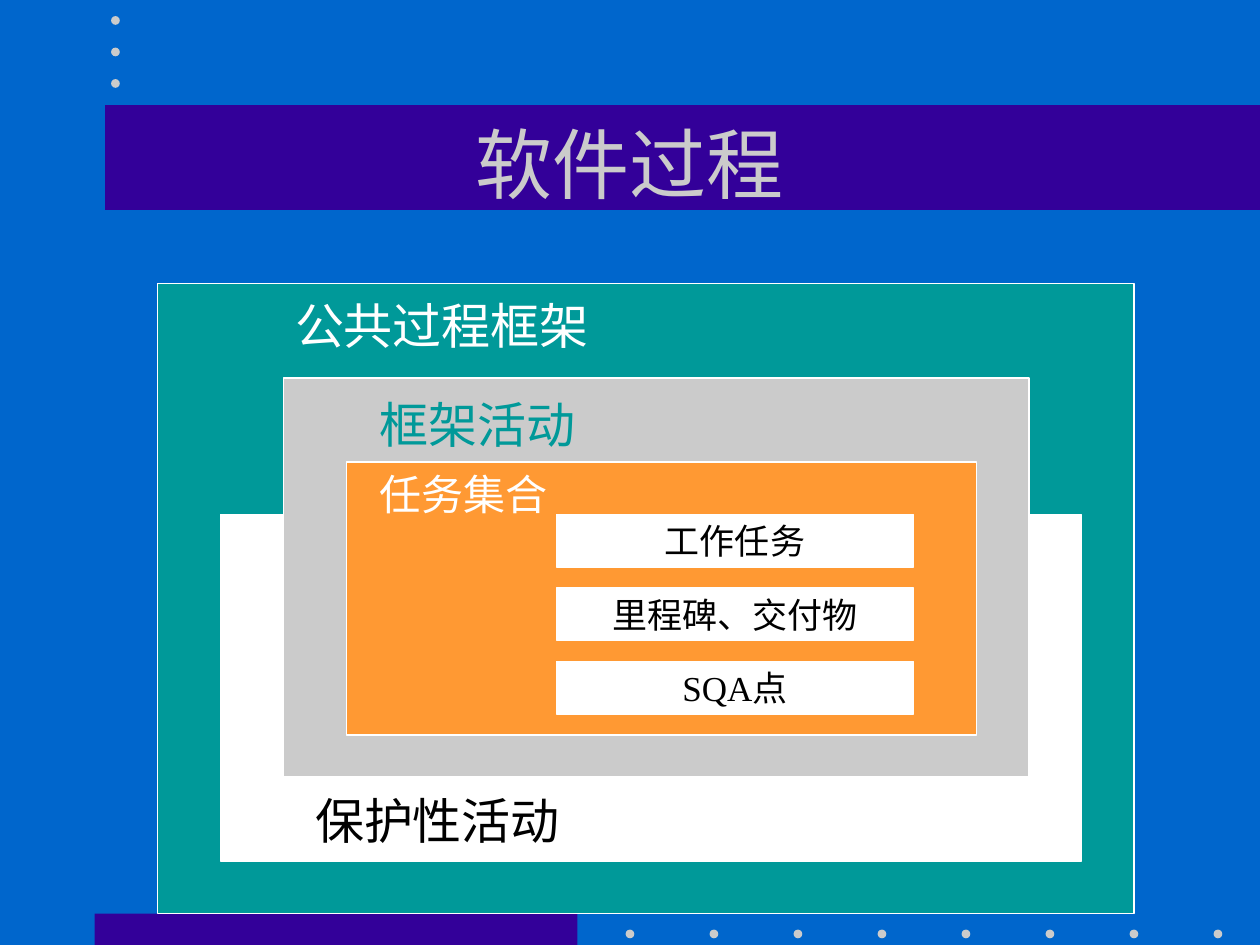
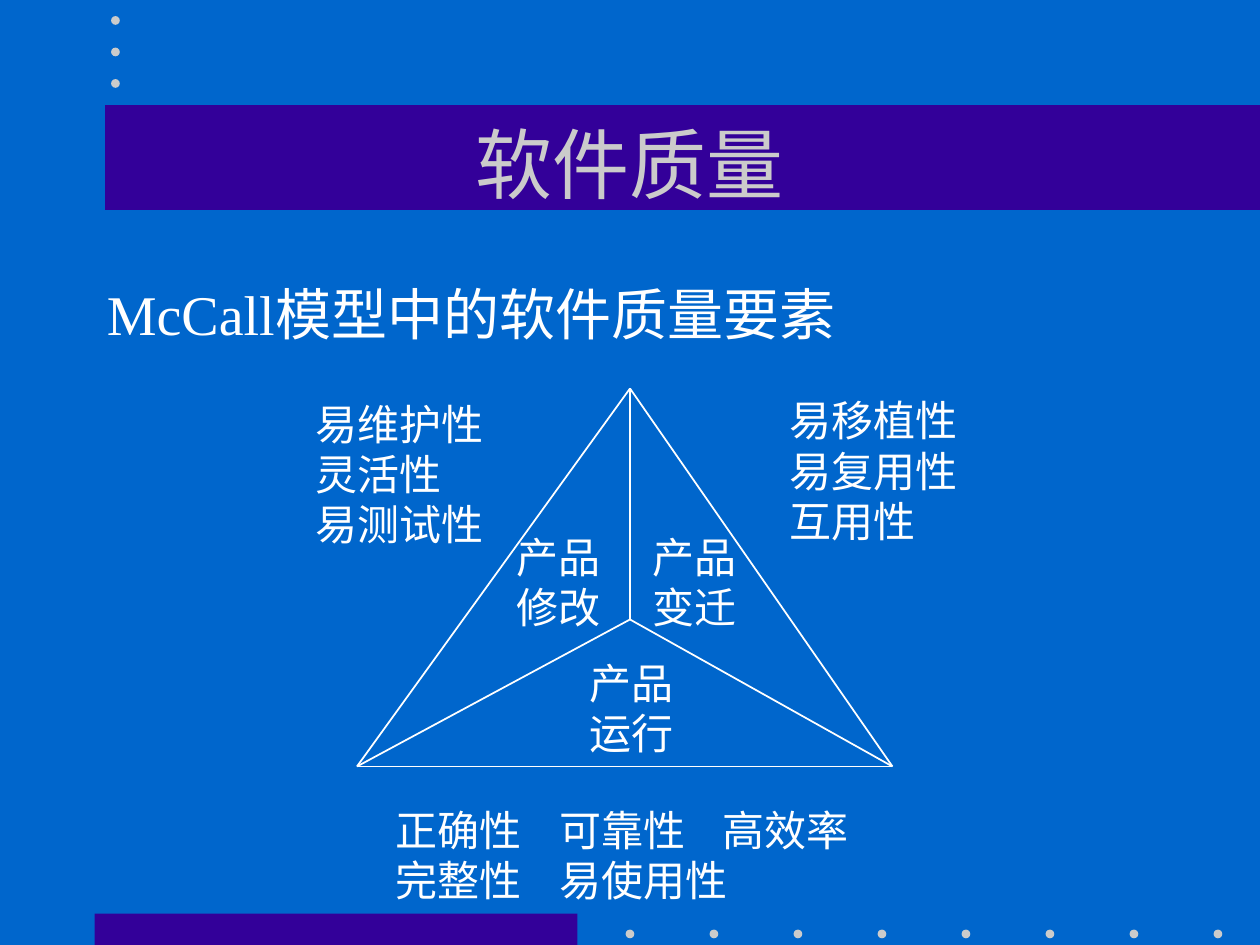
from itertools import combinations

from lxml import etree
from pptx import Presentation
from pptx.dml.color import RGBColor
from pptx.enum.shapes import MSO_CONNECTOR, MSO_SHAPE
from pptx.enum.text import MSO_ANCHOR, MSO_AUTO_SIZE, PP_ALIGN
from pptx.oxml.ns import qn
from pptx.util import Pt

RECTANGLE, DOT = MSO_SHAPE.RECTANGLE, MSO_SHAPE.OVAL
STRAIGHT = MSO_CONNECTOR.STRAIGHT
TOP, MIDDLE = MSO_ANCHOR.TOP, MSO_ANCHOR.MIDDLE
LEFT, CENTER = PP_ALIGN.LEFT, PP_ALIGN.CENTER
NO_FIT = MSO_AUTO_SIZE.NONE

# Shared look
FONT = "Times New Roman"
BLUE, VIOLET, GRAY = "0066CC", "330099", "CBCBCB"
TEAL, ORANGE, WHITE, BLACK = "009999", "FF9933", "FFFFFF", "000000"
TITLE_PLACE = (54, 48, 612, 90)
DOT_SIZE = 5


def color(hex_text):
    return RGBColor.from_string(hex_text)


def apply_format(target, values):
    for name, value in values.items():
        setattr(target, name, value)


def write(shape, lines, size, text_color, align=LEFT, anchor=TOP, tabs=()):
    """Fill a shape with one paragraph per line."""
    frame = shape.text_frame
    apply_format(frame, {"word_wrap": True, "auto_size": NO_FIT,
                         "vertical_anchor": anchor})
    for index, line in enumerate(lines):
        para = frame.add_paragraph() if index else frame.paragraphs[0]
        if tabs:
            tab_list = etree.SubElement(para._p.get_or_add_pPr(), qn("a:tabLst"))
            for stop in tabs:
                etree.SubElement(tab_list, qn("a:tab"), pos=str(Pt(stop)), algn="l")
        para.alignment = align
        span = para.add_run()
        span.text = line
        apply_format(span.font, {"name": FONT, "size": Pt(size)})
        span.font.color.rgb = color(text_color)


def add_box(page, place, fill, kind=RECTANGLE, outline=None):
    box = page.shapes.add_shape(kind, *map(Pt, place))
    box.shadow.inherit = False
    box.fill.solid()
    box.fill.fore_color.rgb = color(fill)
    if outline:
        box.line.color.rgb = color(outline)
        box.line.width = Pt(1)
    else:
        box.line.fill.background()
    return box


def add_label(page, place, lines, size=24, text_color=WHITE, tabs=()):
    box = page.shapes.add_textbox(*map(Pt, place))
    write(box, lines, size, text_color, tabs=tabs)


def add_edge(page, start, end):
    edge = page.shapes.add_connector(STRAIGHT, *map(Pt, start + end))
    edge.line.color.rgb = color(WHITE)
    edge.line.width = Pt(1)
    etree.SubElement(edge.element.spPr, qn("a:effectLst"))


def add_page(deck, layout, title):
    page = deck.slides.add_slide(layout)
    heading = page.shapes.title
    apply_format(heading, dict(zip(("left", "top", "width", "height"),
                                   map(Pt, TITLE_PLACE))))
    write(heading, [title], 44, GRAY, CENTER, MIDDLE)
    return page


def decorate_layout(layout, page):
    """Draw the bands and dots on a page, then move them to its layout."""
    layout.background.fill.solid()
    layout.background.fill.fore_color.rgb = color(BLUE)
    parts = [add_box(page, place, VIOLET)
             for place in ((54, 522, 276, 18), (60, 60, 660, 60))]
    centers = [(360 + 48 * i, 533.7) for i in range(8)]
    centers += [(66, 11.7 + 18 * i) for i in range(3)]
    for x, y in centers:
        place = (x - DOT_SIZE / 2, y - DOT_SIZE / 2, DOT_SIZE, DOT_SIZE)
        parts.append(add_box(page, place, GRAY, DOT))
    for part in parts:
        layout.shapes.element.append(part.element)


def build_process(page):
    # Nested layers, from the outside in
    for place, fill in (
        ((90, 162, 558, 360), TEAL),
        ((126, 294, 492, 198), WHITE),
        ((162, 216, 426, 228), GRAY),
        ((198, 264, 360, 156), ORANGE),
    ):
        add_box(page, place, fill, outline=WHITE)

    # Contents of the task set
    for row, task in enumerate(("工作任务", "里程碑、交付物", "SQA点")):
        box = add_box(page, (318, 294 + 42 * row, 204, 30), WHITE, outline=WHITE)
        write(box, [task], 20, BLACK, CENTER, MIDDLE)

    # Layer names
    for place, text, size, text_color in (
        ((161.5, 165.5, 190, 41), "公共过程框架", 28, WHITE),
        ((210, 222, 134, 41), "框架活动", 28, TEAL),
        ((173, 448, 162, 41), "保护性活动", 28, BLACK),
        ((210, 264, 118, 36), "任务集合", 24, WHITE),
    ):
        add_label(page, place, [text], size, text_color)


def build_quality(page):
    add_label(page, (54, 156, 612, 54), ["McCall模型中的软件质量要素"], 32)

    # Triangle split into three parts: every pair of corners is joined
    apex, left, right, middle = (360, 222), (204, 438), (510, 438), (360, 354)
    for start, end in combinations((apex, left, right, middle), 2):
        add_edge(page, start, end)

    # Names of the parts and their factors
    for place, lines in (
        ((288, 300, 66, 65), ("产品", "修改")),
        ((366, 300, 66, 65), ("产品", "变迁")),
        ((330, 372, 66, 65), ("产品", "运行")),
        ((173, 224, 116, 94), ("易维护性", "灵活性", "易测试性")),
        ((444, 222, 116, 94), ("易移植性", "易复用性", "互用性")),
    ):
        add_label(page, place, lines)
    add_label(page, (219, 456, 288, 65),
              ("正确性\t可靠性\t高效率", "完整性\t易使用性"), tabs=(93.5, 187))


def main():
    deck = Presentation()
    deck.slide_width, deck.slide_height = Pt(720), Pt(540)
    layout = deck.slide_layouts[5]
    process = add_page(deck, layout, "软件过程")
    decorate_layout(layout, process)
    build_process(process)
    build_quality(add_page(deck, layout, "软件质量"))
    deck.save("out.pptx")


if __name__ == "__main__":
    main()
